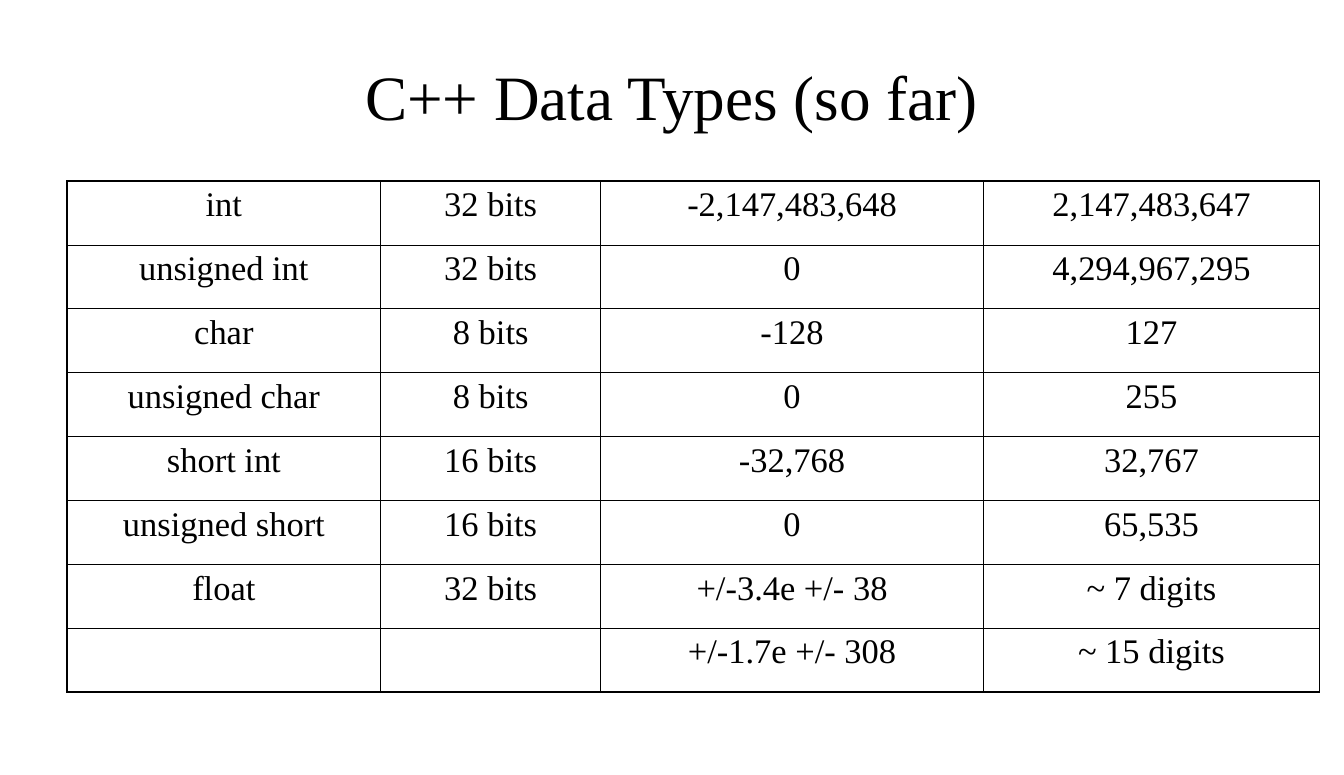
"""Build a slide with a table of C++ data types, their sizes and their ranges."""
from lxml import etree
from pptx import Presentation
from pptx.dml.color import RGBColor
from pptx.enum.text import MSO_ANCHOR, PP_ALIGN
from pptx.oxml.ns import qn
from pptx.util import Cm, Pt

CENTER = PP_ALIGN.CENTER
MIDDLE = MSO_ANCHOR.MIDDLE
TOP = MSO_ANCHOR.TOP
TITLE_ONLY = 5

COLORS = {"ink": "000000", "paper": "FFFFFF"}
FONT = "Times New Roman"
OUTER_LINE = Pt(1.08)
INNER_LINE = Pt(0.45)
LEFT_MARGIN = Cm(1.65)
ROW_HEIGHT = Cm(1.57)
COLUMN_WIDTHS = [Cm(7.7), Cm(5.41), Cm(9.4), Cm(8.26)]

DATA_TYPES = [
    ("int", "32 bits", "-2,147,483,648", "2,147,483,647"),
    ("unsigned int", "32 bits", "0", "4,294,967,295"),
    ("char", "8 bits", "-128", "127"),
    ("unsigned char", "8 bits", "0", "255"),
    ("short int", "16 bits", "-32,768", "32,767"),
    ("unsigned short", "16 bits", "0", "65,535"),
    ("float", "32 bits", "+/-3.4e +/- 38", "~ 7 digits"),
    ("", "", "+/-1.7e +/- 308", "~ 15 digits"),
]


def write_centered(text_frame, text, size):
    """Put one centred line of text in a frame and return its paragraph."""
    text_frame.text = text
    paragraph = text_frame.paragraphs[0]
    paragraph.alignment = CENTER
    for font in [paragraph.font] + [run.font for run in paragraph.runs]:
        font.name = FONT
        font.size = Pt(size)
        font.color.rgb = RGBColor.from_string(COLORS["ink"])
    return paragraph


def add_title(slide, text):
    """Place and format the slide title."""
    title = slide.shapes.title
    title.left, title.top = LEFT_MARGIN, Cm(0.76)
    title.width, title.height = Cm(29.72), Cm(3.18)
    title.text_frame.vertical_anchor = MIDDLE
    write_centered(title.text_frame, text, 44)


def set_borders(cell, widths):
    """Draw the cell borders from a mapping of side tag to line width."""
    properties = cell._tc.get_or_add_tcPr()
    for side, width in widths.items():
        line = etree.SubElement(properties, qn(f"a:{side}"), w=str(width))
        fill = etree.SubElement(line, qn("a:solidFill"))
        etree.SubElement(fill, qn("a:srgbClr"), val=COLORS["ink"])


def format_cell(cell, text, border_widths):
    """Fill in one table cell with its text and borders."""
    set_borders(cell, border_widths)
    cell.fill.background()
    cell.vertical_anchor = TOP
    write_centered(cell.text_frame, text, 24).space_before = Pt(6)


def add_type_table(slide):
    """Add the data type table with a heavier outer frame."""
    row_count, column_count = len(DATA_TYPES), len(COLUMN_WIDTHS)
    table = slide.shapes.add_table(
        row_count, column_count, LEFT_MARGIN, Cm(4.45),
        sum(COLUMN_WIDTHS), ROW_HEIGHT * row_count).table
    table.first_row = table.horz_banding = False
    for column, width in zip(table.columns, COLUMN_WIDTHS):
        column.width = width
    for row_index, values in enumerate(DATA_TYPES):
        table.rows[row_index].height = ROW_HEIGHT
        for column_index, value in enumerate(values):
            on_frame = {
                "lnL": column_index == 0,
                "lnR": column_index == column_count - 1,
                "lnT": row_index == 0,
                "lnB": row_index == row_count - 1,
            }
            border_widths = {side: OUTER_LINE if outer else INNER_LINE
                             for side, outer in on_frame.items()}
            format_cell(table.cell(row_index, column_index), value, border_widths)


def main():
    """Build and save the presentation."""
    presentation = Presentation()
    presentation.slide_width, presentation.slide_height = Cm(33.02), Cm(19.05)
    slide = presentation.slides.add_slide(presentation.slide_layouts[TITLE_ONLY])
    background = slide.background.fill
    background.solid()
    background.fore_color.rgb = RGBColor.from_string(COLORS["paper"])
    add_title(slide, "C++ Data Types (so far)")
    add_type_table(slide)
    presentation.save("out.pptx")


if __name__ == "__main__":
    main()
